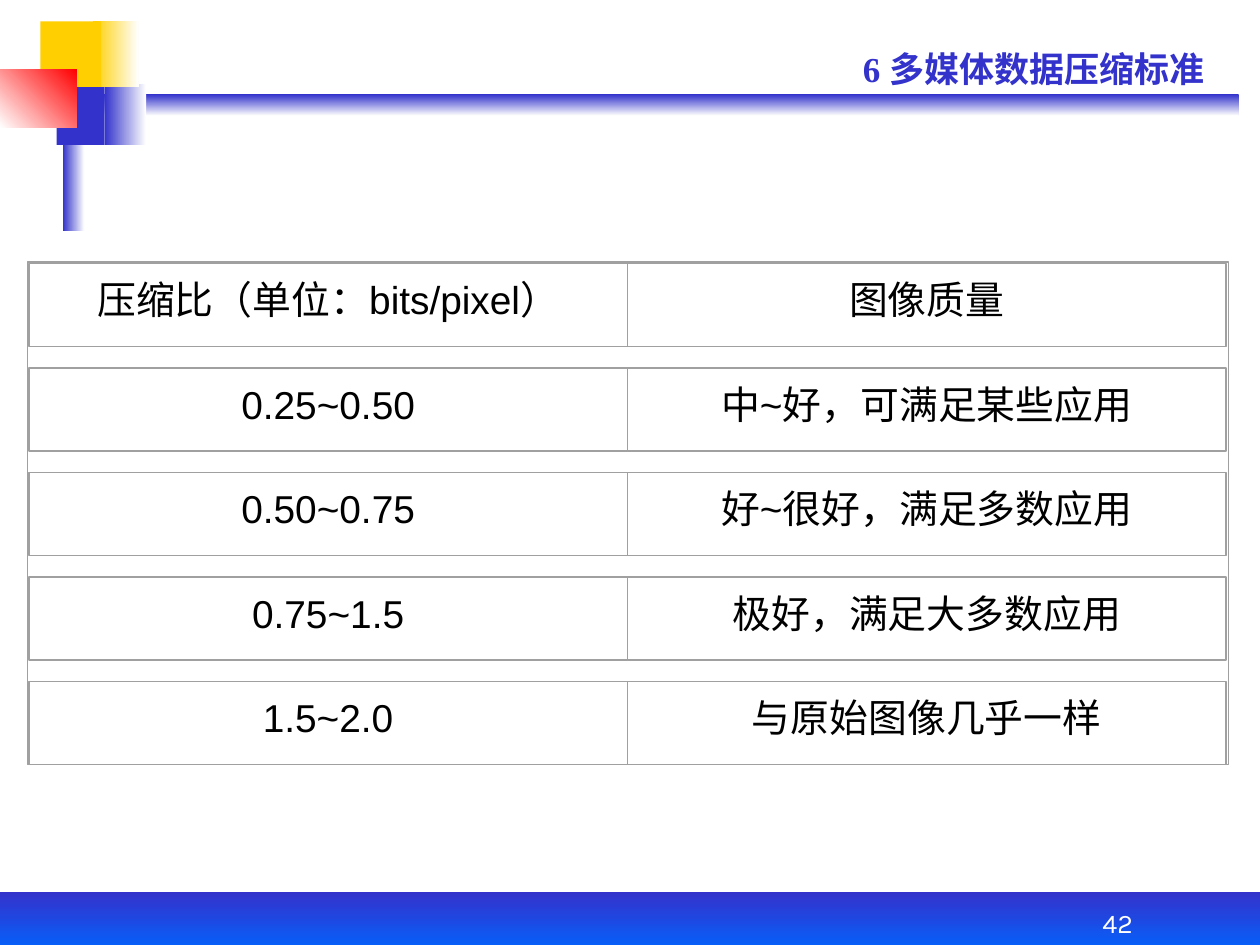
from dataclasses import dataclass

from pptx import Presentation
from pptx.dml.color import RGBColor
from pptx.enum.shapes import MSO_SHAPE
from pptx.enum.text import MSO_ANCHOR, PP_ALIGN
from pptx.util import Inches, Pt

BLUE = RGBColor(0x33, 0x33, 0xCC)
BRIGHT_BLUE = RGBColor(0x00, 0x66, 0xFF)
YELLOW = RGBColor(0xFF, 0xCF, 0x01)
RED = RGBColor(0xFF, 0x00, 0x00)
WHITE = RGBColor(0xFF, 0xFF, 0xFF)
BLACK = RGBColor(0x00, 0x00, 0x00)
GRAY = RGBColor(0xA0, 0xA0, 0xA0)


@dataclass(frozen=True)
class Box:
    left: float
    top: float
    width: float
    height: float

    def lengths(self) -> tuple:
        return tuple(map(Inches, (self.left, self.top, self.width, self.height)))


@dataclass(frozen=True)
class Block:
    """A decoration: one colour is a solid fill, two are a gradient."""
    box: Box
    colors: tuple
    angle: int = 0  # counterclockwise degrees


DECORATIONS = (
    Block(Box(0.58, 0.75, 9.25, 0.17), (BLUE, WHITE), 270),
    Block(Box(0.83, 0.67, 0.33, 0.48), (BLUE, WHITE)),
    Block(Box(0, 7.08, 10, 0.5), (BLUE, BRIGHT_BLUE), 270),
    Block(Box(0.5, 0.58, 0.17, 1.25), (BLUE, WHITE)),
    Block(Box(0.45, 0.67, 0.38, 0.48), (BLUE,)),
    Block(Box(0.74, 0.17, 0.36, 0.52), (YELLOW, WHITE)),
    Block(Box(0.32, 0.17, 0.48, 0.52), (YELLOW,)),
    Block(Box(0, 0.55, 0.61, 0.46), (WHITE, RED), 45),
)

ROWS = (
    ("压缩比（单位：bits/pixel）", "图像质量"),
    ("0.25~0.50", "中~好，可满足某些应用"),
    ("0.50~0.75", "好~很好，满足多数应用"),
    ("0.75~1.5", "极好，满足大多数应用"),
    ("1.5~2.0", "与原始图像几乎一样"),
)
GRID_LEFT, GRID_TOP = 0.23, 2.09
CELL_WIDTH, CELL_HEIGHT, ROW_PITCH = 4.75, 0.66, 0.83
TEXT_INSET_X, TEXT_INSET_Y = 0.12, 0.09

TITLE_FONT = {"size": Pt(20), "name": "Times New Roman", "bold": True}
NUMBER_FONT = {"size": Pt(15.3), "name": "Karla"}
CELL_FONT = {"size": Pt(22.2), "name": "Arial"}
CENTERED = {"alignment": PP_ALIGN.CENTER}
CELL_PARAGRAPH = CENTERED | {"line_spacing": 0.9}


def set_attributes(target, values: dict) -> None:
    for name, value in values.items():
        setattr(target, name, value)


def add_block(shapes, block: Block) -> None:
    shape = shapes.add_shape(MSO_SHAPE.RECTANGLE, *block.box.lengths())
    shape.shadow.inherit = False
    shape.line.fill.background()
    if len(block.colors) == 1:
        shape.fill.solid()
        shape.fill.fore_color.rgb = block.colors[0]
        return
    shape.fill.gradient()
    shape.fill.gradient_angle = block.angle
    for position, (stop, color) in enumerate(zip(shape.fill.gradient_stops, block.colors)):
        stop.position = position
        stop.color.rgb = color


def add_frame(shapes, box: Box, line_width: float) -> None:
    shape = shapes.add_shape(MSO_SHAPE.RECTANGLE, *box.lengths())
    shape.shadow.inherit = False
    shape.fill.background()
    shape.line.color.rgb = GRAY
    shape.line.width = Pt(line_width)


def add_text(shapes, box: Box, text: str, font: dict, color: RGBColor,
             paragraph_format: dict, anchor: MSO_ANCHOR = MSO_ANCHOR.TOP) -> None:
    frame = shapes.add_textbox(*box.lengths()).text_frame
    set_attributes(frame, {"word_wrap": True, "vertical_anchor": anchor})
    paragraph = frame.paragraphs[0]
    set_attributes(paragraph, paragraph_format)
    run = paragraph.add_run()
    run.text = text
    set_attributes(run.font, font)
    run.font.color.rgb = color


def add_quality_grid(shapes) -> None:
    for row, texts in enumerate(ROWS):
        for column, text in enumerate(texts):
            left = GRID_LEFT + column * CELL_WIDTH
            top = GRID_TOP + row * ROW_PITCH
            text_box = Box(left + TEXT_INSET_X, top + TEXT_INSET_Y,
                           CELL_WIDTH - 2 * TEXT_INSET_X, CELL_HEIGHT - 2 * TEXT_INSET_Y)
            add_text(shapes, text_box, text, CELL_FONT, BLACK, CELL_PARAGRAPH)
            add_frame(shapes, Box(left, top, CELL_WIDTH, CELL_HEIGHT), 0)
    add_frame(shapes, Box(0.22, 2.08, 9.53, 3.99), 0.75)


def main() -> None:
    presentation = Presentation()
    presentation.slide_width, presentation.slide_height = Inches(10), Inches(7.5)
    slide = presentation.slides.add_slide(presentation.slide_layouts[6])
    for block in DECORATIONS:
        add_block(slide.shapes, block)
    add_text(slide.shapes, Box(6.75, 0.33, 3, 0.44), "6 多媒体数据压缩标准",
             TITLE_FONT, BLUE, {})
    add_text(slide.shapes, Box(8.08, 7.08, 1.58, 0.42), "42",
             NUMBER_FONT, WHITE, CENTERED, MSO_ANCHOR.BOTTOM)
    add_quality_grid(slide.shapes.add_group_shape().shapes)
    presentation.save("out.pptx")


if __name__ == "__main__":
    main()
